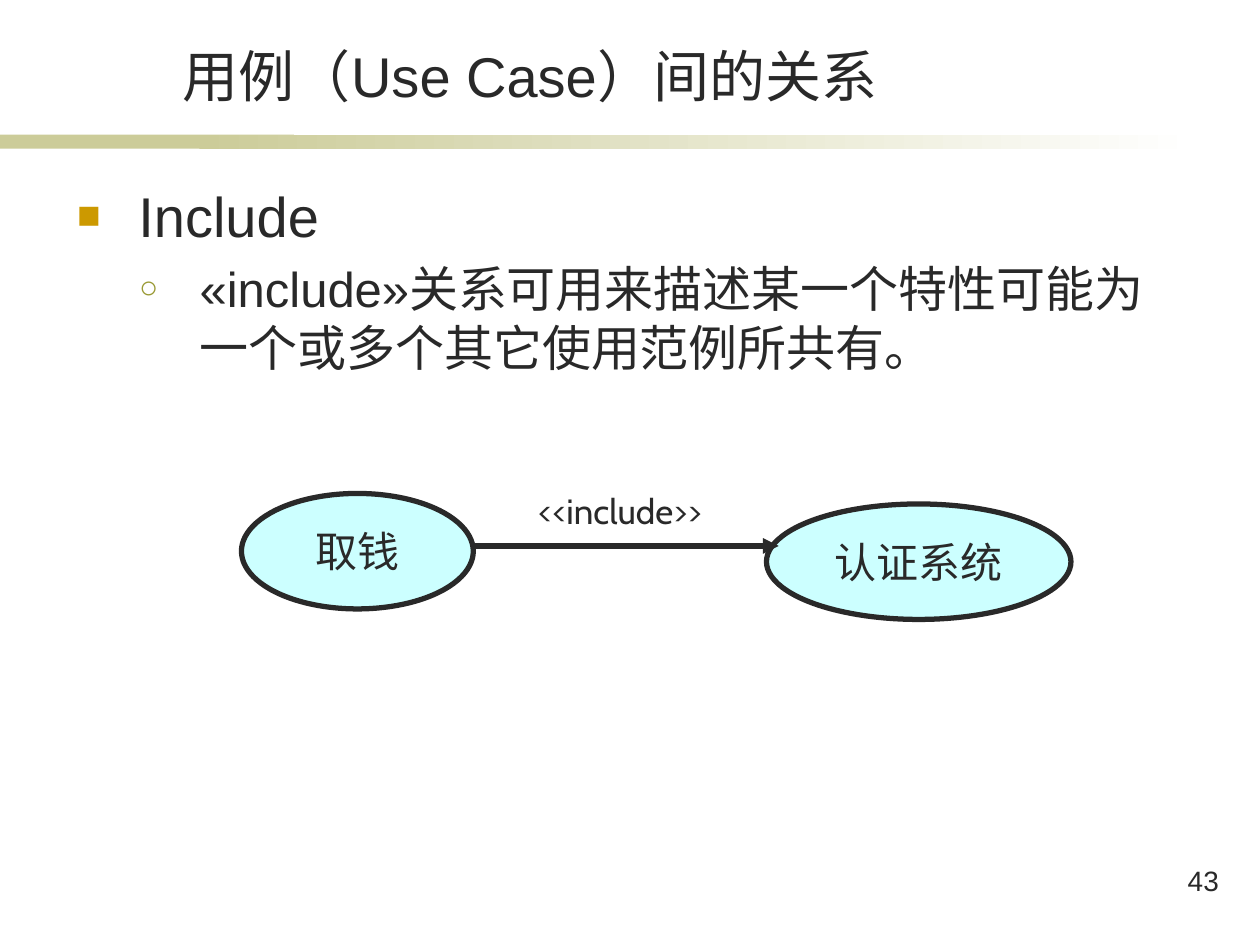
from lxml import etree
from pptx import Presentation
from pptx.dml.color import RGBColor
from pptx.enum import shapes, text
from pptx.oxml import ns
from pptx.util import Pt

INK = "292929"
KHAKI = "CCCC99"
WHITE = "FFFFFF"
CYAN = "CCFFFF"
LINE_WIDTH = 3


def color(hex_string):
    return RGBColor.from_string(hex_string)


def add_xml(parent, tag, **attributes):
    return etree.SubElement(parent, ns.qn(tag), attributes)


def write(paragraph, words, size, font="Arial", align=None, before=0):
    paragraph.text = words
    paragraph.alignment = align
    paragraph.space_before = Pt(before)
    paragraph.font.size = Pt(size)
    paragraph.font.name = font
    paragraph.font.color.rgb = color(INK)


def add_bullet(paragraph, symbol, hex_color, percent, left, hanging):
    """Must run before the paragraph font is set, to keep the XML order valid."""
    paragraph.space_before = Pt(0)
    properties = paragraph._p.get_or_add_pPr()
    properties.set("marL", str(Pt(left)))
    properties.set("indent", str(-Pt(hanging)))
    add_xml(add_xml(properties, "a:buClr"), "a:srgbClr", val=hex_color)
    add_xml(properties, "a:buSzPct", val=str(percent * 1000))
    add_xml(properties, "a:buFont", typeface="Arial")
    add_xml(properties, "a:buChar", char=symbol)


def add_text_box(slide, left, top, width, height):
    box = slide.shapes.add_textbox(Pt(left), Pt(top), Pt(width), Pt(height))
    box.text_frame.word_wrap = True
    return box.text_frame


def add_label(slide, place, words, size, **style):
    write(add_text_box(slide, *place).paragraphs[0], words, size, **style)


def add_plain_shape(slide, kind, left, top, width, height):
    shape = slide.shapes.add_shape(kind, Pt(left), Pt(top), Pt(width), Pt(height))
    shape.shadow.inherit = False
    return shape


def add_title_rule(slide):
    top, height = 77, 8
    solid, fade = [
        add_plain_shape(slide, shapes.MSO_SHAPE.RECTANGLE, left, top, width, height)
        for left, width in ((0, 168), (114, 570))
    ]
    solid.fill.solid()
    solid.fill.fore_color.rgb = color(KHAKI)
    fade.fill.gradient()
    fade.fill.gradient_angle = 0
    for stop, hex_color in zip(fade.fill.gradient_stops, (KHAKI, WHITE)):
        stop.color.rgb = color(hex_color)
    for bar in (solid, fade):
        bar.line.fill.background()


def set_title(slide, words):
    title = slide.shapes.title
    title.left, title.top, title.width, title.height = map(Pt, (82, 21, 442, 45))
    title.text_frame.vertical_anchor = text.MSO_ANCHOR.BOTTOM
    write(title.text_frame.paragraphs[0], words, 32, align=text.PP_ALIGN.CENTER)


def add_body(slide):
    frame = add_text_box(slide, 37, 100, 641, 363)
    heading, detail = frame.paragraphs[0], frame.add_paragraph()
    add_bullet(heading, "■", "CC9900", 70, left=35, hanging=35)
    write(heading, "Include", 32, before=6.4)
    add_bullet(detail, "○", "999933", 65, left=70, hanging=34.5)
    write(detail, "«include»关系可用来描述某一个特性可能为一个或多个其它使用范例所共有。",
          28, before=5.6)


def add_use_case(slide, left, top, width, words):
    oval = add_plain_shape(slide, shapes.MSO_SHAPE.OVAL, left, top, width, 66)
    oval.fill.solid()
    oval.fill.fore_color.rgb = color(CYAN)
    oval.line.color.rgb = color(INK)
    oval.line.width = Pt(LINE_WIDTH)
    frame = oval.text_frame
    frame.word_wrap = False
    frame.vertical_anchor = text.MSO_ANCHOR.MIDDLE
    write(frame.paragraphs[0], words, 24, font="Cabin",
          align=text.PP_ALIGN.CENTER, before=4.8)


def add_arrow(slide, start, end, level):
    arrow = slide.shapes.add_connector(
        shapes.MSO_CONNECTOR.STRAIGHT, Pt(start), Pt(level), Pt(end), Pt(level))
    arrow.line.color.rgb = color(INK)
    arrow.line.width = Pt(LINE_WIDTH)
    add_xml(arrow.line._get_or_add_ln(), "a:tailEnd", type="triangle")
    add_xml(arrow._element.spPr, "a:effectLst")


def main():
    deck = Presentation()
    deck.slide_width, deck.slide_height = Pt(720), Pt(540)
    slide = deck.slides.add_slide(deck.slide_layouts[5])

    add_title_rule(slide)
    set_title(slide, "用例（Use Case）间的关系")
    add_body(slide)
    add_label(slide, (630, 490, 73.5, 36), "43", 16, align=text.PP_ALIGN.RIGHT)

    add_use_case(slide, 138, 282, 132.5, "取钱")
    add_use_case(slide, 438, 288, 174, "认证系统")
    add_arrow(slide, 270.5, 445, 312)
    add_label(slide, (284.5, 276, 139.5, 31), "<<include>>", 20, font="Cabin",
              align=text.PP_ALIGN.CENTER, before=10)

    deck.save("out.pptx")


if __name__ == "__main__":
    main()
